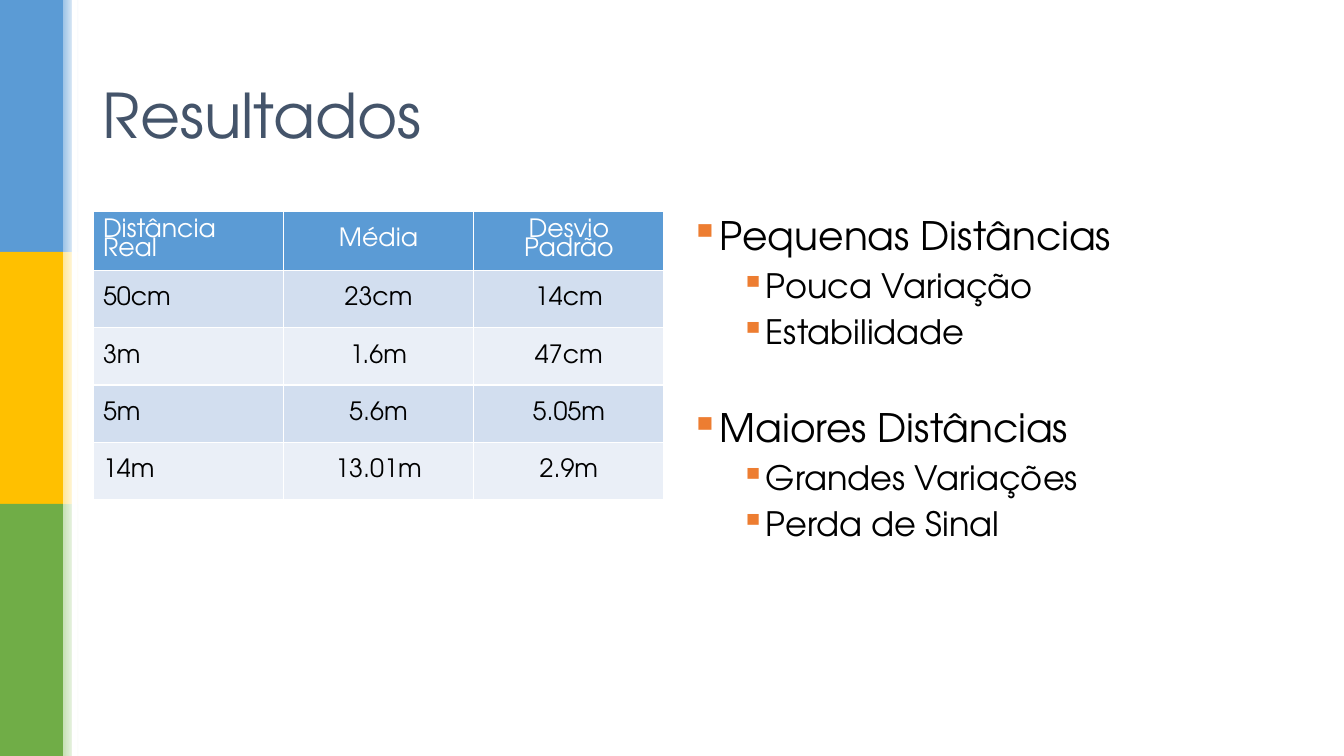
from dataclasses import dataclass

from lxml.etree import SubElement
from pptx import Presentation
from pptx.dml.color import RGBColor
from pptx.enum.shapes import MSO_SHAPE
from pptx.enum.text import MSO_ANCHOR, PP_ALIGN
from pptx.oxml.ns import qn
from pptx.util import Pt

FACE = "TeX Gyre Adventor"
WHITE = "FFFFFF"
BLACK = "000000"
BLUE = "5B9BD5"


@dataclass
class Band:
    color: str
    fade: str


@dataclass
class Point:
    text: str
    size: float
    left: float
    before: float


def tint(hue: str) -> RGBColor:
    return RGBColor.from_string(hue)


def style(para, size: float, hue: str) -> None:
    font = para.font
    font.name = FACE
    font.size = Pt(size)
    font.bold = False
    font.color.rgb = tint(hue)


def add_bar(slide, left: float, top: float, width: float, height: float):
    bar = slide.shapes.add_shape(
        MSO_SHAPE.RECTANGLE, Pt(left), Pt(top), Pt(width), Pt(height))
    bar.shadow.inherit = False
    bar.line.fill.background()
    return bar


def add_solid(slide, left: float, top: float, width: float, height: float,
              hue: str) -> None:
    fill = add_bar(slide, left, top, width, height).fill
    fill.solid()
    fill.fore_color.rgb = tint(hue)


def add_band(slide, band: Band, top: float) -> None:
    add_solid(slide, 0, top, 45, 180, band.color)
    fill = add_bar(slide, 45, top, 11.25, 180).fill
    fill.gradient()
    fill.gradient_angle = 0
    for stop, hue in zip(fill.gradient_stops, (band.fade, WHITE)):
        stop.color.rgb = tint(hue)


def add_frame(slide, left: float, top: float, width: float, height: float):
    box = slide.shapes.add_textbox(Pt(left), Pt(top), Pt(width), Pt(height))
    box.text_frame.word_wrap = True
    return box.text_frame


def add_point(para, point: Point) -> None:
    para.text = point.text
    para.line_spacing = 0.9
    para.space_before = Pt(point.before)
    props = para._p.get_or_add_pPr()
    props.set("marL", str(Pt(point.left)))
    props.set("indent", str(Pt(-18)))
    paint = SubElement(props, qn("a:buClr"))
    SubElement(paint, qn("a:srgbClr"), val="ED7D31")
    SubElement(props, qn("a:buChar"), char="▪")
    style(para, point.size, BLACK)


def add_grid(slide, rows: list[tuple[str, ...]]) -> None:
    table = slide.shapes.add_table(
        len(rows), len(rows[0]), Pt(66.4), Pt(151.2),
        Pt(408), Pt(205)).table
    for r, row in enumerate(rows):
        head = r == 0
        shade = BLUE if head else ("EAEFF7", "D2DEEF")[r % 2]
        for c, text in enumerate(row):
            cell = table.cell(r, c)
            cell.fill.solid()
            cell.fill.fore_color.rgb = tint(shade)
            cell.vertical_anchor = MSO_ANCHOR.MIDDLE
            cell.text = text
            para = cell.text_frame.paragraphs[0]
            if c:
                para.alignment = PP_ALIGN.CENTER
            if head:
                para.line_spacing = 0.8
            style(para, 18, WHITE if head else BLACK)


BANDS = [
    Band(BLUE, "9DC3E6"),
    Band("FFC000", "FFE699"),
    Band("70AD47", "C5E0B4"),
]
ROWS = [
    ("Distância Real", "Média", "Desvio Padrão"),
    ("50cm", "23cm", "14cm"),
    ("3m", "1.6m", "47cm"),
    ("5m", "5.6m", "5.05m"),
    ("14m", "13.01m", "2.9m"),
]
POINTS = [
    Point("Pequenas Distâncias", 28, 18, 8.4),
    Point("Pouca Variação", 24, 54, 7.2),
    Point("Estabilidade", 24, 54, 7.2),
    Point("Maiores Distâncias", 28, 18, 41),
    Point("Grandes Variações", 24, 54, 7.2),
    Point("Perda de Sinal", 24, 54, 7.2),
]

deck = Presentation()
deck.slide_width = Pt(960)
deck.slide_height = Pt(540)
slide = deck.slides.add_slide(deck.slide_layouts[6])

for i, band in enumerate(BANDS):
    add_band(slide, band, i * 180)
add_solid(slide, 51.4, 0, 3.6, 540, WHITE)

body = add_frame(slide, 486, 151.2, 408, 342.7)
for i, point in enumerate(POINTS):
    add_point(body.add_paragraph() if i else body.paragraphs[0], point)

add_grid(slide, ROWS)

title = add_frame(slide, 66.4, 28.8, 828, 104.4)
title.vertical_anchor = MSO_ANCHOR.MIDDLE
title.text = "Resultados"
style(title.paragraphs[0], 44, "44546A")

deck.save("out.pptx")
